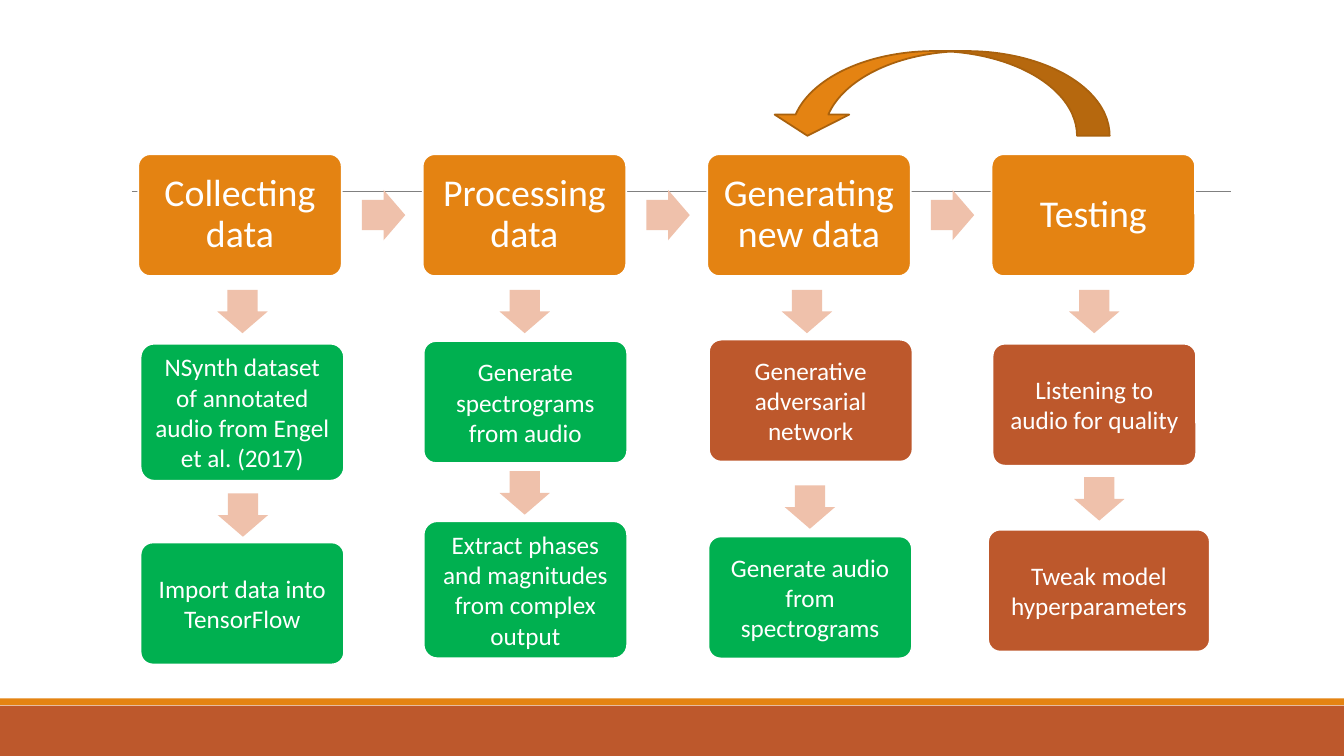
from lxml import etree
from pptx import Presentation
from pptx.dml.color import RGBColor
from pptx.enum import shapes, text
from pptx.oxml import ns
from pptx.util import Pt

ORANGE = RGBColor(0xE4, 0x83, 0x12)
RUST = RGBColor(0xBD, 0x58, 0x2C)
GREEN = RGBColor(0x00, 0xB0, 0x50)
PEACH = RGBColor(0xEF, 0xC1, 0xAB)
BROWN = RGBColor(0xA9, 0x61, 0x0D)
GREY = RGBColor(0x80, 0x80, 0x80)
WHITE = RGBColor(0xFF, 0xFF, 0xFF)

KIND = shapes.MSO_SHAPE
HEADER_LEFT, HEADER_TOP, PITCH = 98.7, 110.1, 203.2
BOX_W, BOX_H, TALL_H = 145.4, 87.1, 97.9
ARROW_W, ARROW_H = 31, 36

HEADER_FORMAT = {"size": Pt(27), "spacing": 0.9, "inset": Pt(8)}
STEP_FORMAT = {"size": Pt(18), "spacing": 1.0, "inset": Pt(7.2)}

# Each step: arrow left and top, then box left, top, width, height, colour and wording
STAGES = [
    ("Collecting data", [
        (157.7, 204.5, 100.4, 245.5, BOX_W, TALL_H, GREEN,
         "NSynth dataset of annotated audio from Engel et al. (2017)"),
        (158, 349.9, 100.4, 387.5, BOX_W, BOX_H, GREEN, "Import data into TensorFlow"),
    ]),
    ("Processing data", [
        (359.3, 204.5, 302.6, 243.6, BOX_W, BOX_H, GREEN, "Generate spectrograms from audio"),
        (359.3, 334.1, 302.6, 372.3, BOX_W, TALL_H, GREEN,
         "Extract phases and magnitudes from complex output"),
    ]),
    ("Generating new data", [
        (560.9, 204.5, 506.4, 242.6, BOX_W, BOX_H, RUST, "Generative adversarial network"),
        (563, 344.2, 506, 383.2, BOX_W, BOX_H, GREEN, "Generate audio from spectrograms"),
    ]),
    ("Testing", [
        (766.1, 204.5, 709, 245.5, BOX_W, BOX_H, RUST, "Listening to audio for quality"),
        (769.7, 338.4, 705.8, 378.3, 158.4, BOX_H, RUST, "Tweak model hyperparameters"),
    ]),
]


def add_block(s, kind, box, fill, line=None, adjustments=()):
    """Add a filled preset shape with an optional outline."""
    sp = s.shapes.add_shape(kind, *map(Pt, box))
    sp.shadow.inherit = False
    sp.fill.solid()
    sp.fill.fore_color.rgb = fill
    if line is None:
        sp.line.fill.background()
    else:
        sp.line.color.rgb = line
        sp.line.width = Pt(1.25)
    for i, value in enumerate(adjustments):
        sp.adjustments[i] = value
    return sp


def add_card(s, box, fill, wording, fmt):
    """Add a rounded box with centred white text."""
    sp = add_block(s, KIND.ROUNDED_RECTANGLE, box, fill, WHITE, [0.1])
    tf = sp.text_frame
    frame = {"word_wrap": True, "vertical_anchor": text.MSO_ANCHOR.MIDDLE,
             "margin_left": fmt["inset"], "margin_right": fmt["inset"]}
    for name, value in frame.items():
        setattr(tf, name, value)
    p = tf.paragraphs[0]
    p.alignment = text.PP_ALIGN.CENTER
    p.line_spacing = fmt["spacing"]
    r = p.add_run()
    r.text = wording
    for name, value in {"name": "Calibri", "size": fmt["size"]}.items():
        setattr(r.font, name, value)
    r.font.color.rgb = WHITE


def add_arrow(s, left, top, rotation=0):
    """Add a small flow arrow, pointing right unless rotated."""
    sp = add_block(s, KIND.RIGHT_ARROW, (left, top, ARROW_W, ARROW_H), PEACH,
                   adjustments=[0.6, 0.5])
    sp.rotation = rotation


def add_rule(s, left, right, top):
    """Add the thin horizontal line behind the headers."""
    c = s.shapes.add_connector(shapes.MSO_CONNECTOR.STRAIGHT,
                               Pt(left), Pt(top), Pt(right), Pt(top))
    c.line.color.rgb = GREY
    c.line.width = Pt(0.5)
    etree.SubElement(c._element.spPr, ns.qn("a:effectLst"))


def add_return_arrow(s):
    """Add the curved arrow from testing back to generating."""
    sp = add_block(s, KIND.CURVED_DOWN_ARROW, (550.1, 36.5, 242.6, 60.5), ORANGE, BROWN,
                   [0.386, 0.882, 0.25])
    sp._element.spPr.xfrm.set("flipH", "1")


def main():
    """Build the slide and save it."""
    prs = Presentation()
    prs.slide_width, prs.slide_height = Pt(960), Pt(540)
    s = prs.slides.add_slide(prs.slide_layouts[6])
    add_block(s, KIND.RECTANGLE, (0, 504, 960, 36), RUST)
    add_block(s, KIND.RECTANGLE, (0, 498.8, 960, 5), ORANGE)
    add_rule(s, 94.3, 879, 136.8)
    for i, (header, steps) in enumerate(STAGES):
        left = HEADER_LEFT + i * PITCH
        add_card(s, (left, HEADER_TOP, BOX_W, BOX_H), ORANGE, header, HEADER_FORMAT)
        if i < len(STAGES) - 1:
            add_arrow(s, left + 159.8, HEADER_TOP + (BOX_H - ARROW_H) / 2)
        for arrow_left, arrow_top, *box, fill, wording in steps:
            add_arrow(s, arrow_left, arrow_top, 90)
            add_card(s, box, fill, wording, STEP_FORMAT)
    add_return_arrow(s)
    prs.save("out.pptx")


if __name__ == "__main__":
    main()
